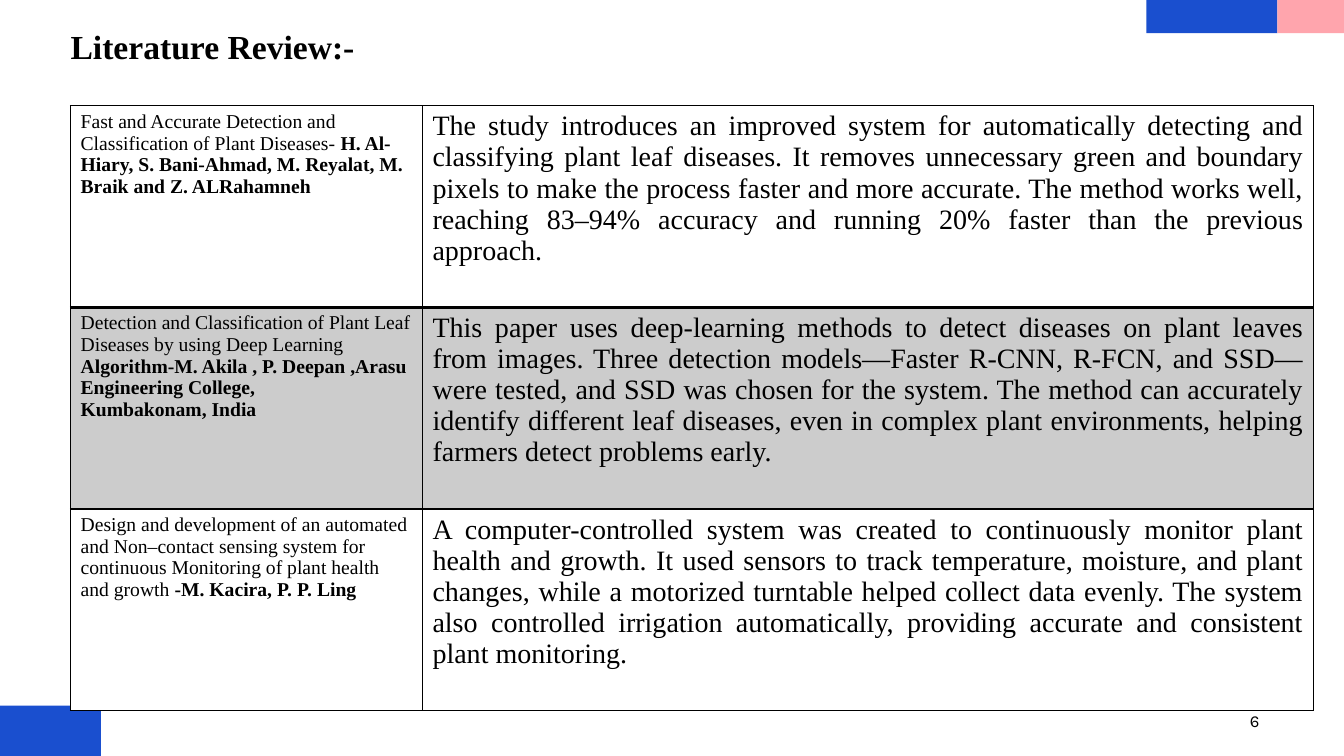
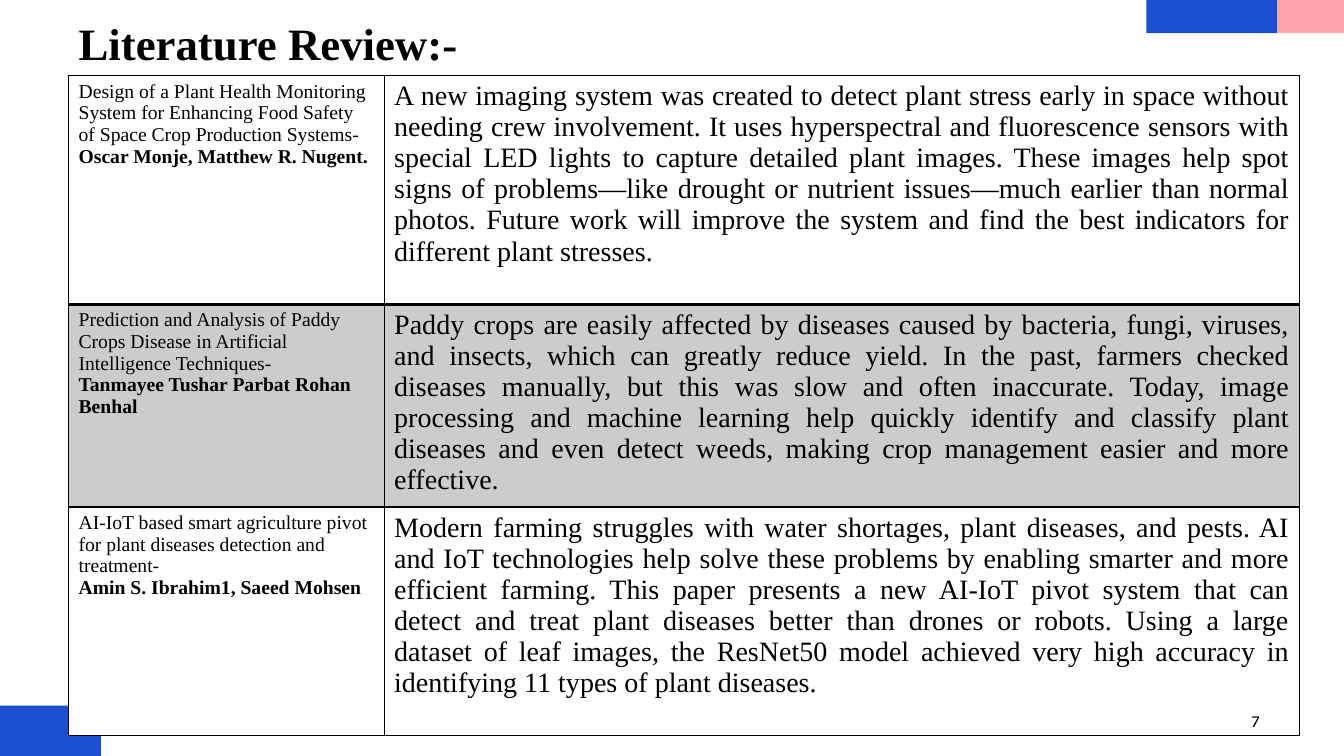
import math

import pptx
import pptx.dml.color
import pptx.enum.text
import pptx.oxml
import pptx.util
from pptx.enum.shapes import MSO_SHAPE
from pptx.enum.text import MSO_ANCHOR, MSO_AUTO_SIZE, PP_ALIGN
from pptx.util import Inches

# Shared look
RGBColor = pptx.dml.color.RGBColor
BLUE = RGBColor(0x1A, 0x4F, 0xCF)
PINK = RGBColor(0xFF, 0xA5, 0xAD)
BLACK = RGBColor(0, 0, 0)
WHITE = RGBColor(0xFF, 0xFF, 0xFF)
GREY = RGBColor(0xCC, 0xCC, 0xCC)
SERIF = "Times New Roman"
SANS = "Karla"
TITLE = "Literature Review:-"
SLIDE_W, SLIDE_H = 13.33, 7.5

# Each row: paragraphs of (text, bold) runs for the paper, then its summary
FIRST_PAPERS = [
    ([[("Fast and Accurate Detection and Classification of Plant Diseases- ", False),
       ("H. Al-Hiary, S. Bani-Ahmad, M. Reyalat, M. Braik and Z. ALRahamneh", True)]],
     "The study introduces an improved system for automatically detecting and "
     "classifying plant leaf diseases. It removes unnecessary green and boundary "
     "pixels to make the process faster and more accurate. The method works well, "
     "reaching 83–94% accuracy and running 20% faster than the previous approach."),
    ([[("Detection and Classification of Plant Leaf Diseases by using Deep Learning ", False),
       ("Algorithm-M. Akila , P. Deepan ,Arasu Engineering College,", True)],
      [("Kumbakonam, India", True)]],
     "This paper uses deep-learning methods to detect diseases on plant leaves "
     "from images. Three detection models—Faster R-CNN, R-FCN, and SSD—were tested, "
     "and SSD was chosen for the system. The method can accurately identify "
     "different leaf diseases, even in complex plant environments, helping farmers "
     "detect problems early."),
    ([[("Design and development of an automated and Non–contact sensing system for "
        "continuous Monitoring of plant health and growth ", False),
       ("-M. Kacira, P. P. Ling", True)]],
     "A computer-controlled system was created to continuously monitor plant health "
     "and growth. It used sensors to track temperature, moisture, and plant changes, "
     "while a motorized turntable helped collect data evenly. The system also "
     "controlled irrigation automatically, providing accurate and consistent plant "
     "monitoring."),
]
SECOND_PAPERS = [
    ([[("Design of a Plant Health Monitoring System for Enhancing Food Safety of "
        "Space Crop Production Systems- ", False),
       ("Oscar Monje, Matthew R. Nugent.", True)]],
     "A new imaging system was created to detect plant stress early in space without "
     "needing crew involvement. It uses hyperspectral and fluorescence sensors with "
     "special LED lights to capture detailed plant images. These images help spot "
     "signs of problems—like drought or nutrient issues—much earlier than normal "
     "photos. Future work will improve the system and find the best indicators for "
     "different plant stresses."),
    ([[("Prediction and Analysis of Paddy Crops Disease in Artificial Intelligence "
        "Techniques-", False)],
      [("Tanmayee Tushar Parbat Rohan Benhal", True)]],
     "Paddy crops are easily affected by diseases caused by bacteria, fungi, viruses, "
     "and insects, which can greatly reduce yield. In the past, farmers checked "
     "diseases manually, but this was slow and often inaccurate. Today, image "
     "processing and machine learning help quickly identify and classify plant "
     "diseases and even detect weeds, making crop management easier and more "
     "effective."),
    ([[("AI-IoT based smart agriculture pivot for plant diseases detection and "
        "treatment-", False)],
      [("Amin S. Ibrahim1, Saeed Mohsen", True)]],
     "Modern farming struggles with water shortages, plant diseases, and pests. AI "
     "and IoT technologies help solve these problems by enabling smarter and more "
     "efficient farming. This paper presents a new AI-IoT pivot system that can "
     "detect and treat plant diseases better than drones or robots. Using a large "
     "dataset of leaf images, the ResNet50 model achieved very high accuracy in "
     "identifying 11 types of plant diseases."),
]


def paint(sp, color):
    """Flat fill without outline or shadow."""
    sp.shadow.inherit = False
    sp.fill.solid()
    sp.fill.fore_color.rgb = color
    sp.line.fill.background()


def add_run(p, text, size, font=SERIF, bold=False):
    r = p.add_run()
    r.text = text
    r.font.name = font
    r.font.size = pptx.util.Pt(size)
    r.font.bold = bold
    r.font.color.rgb = BLACK


def add_corners(s):
    """Two bars at the top right and a quarter disc at the bottom left."""
    for left, width, color in ((11.37, 1.3, BLUE), (12.67, 0.66, PINK)):
        bar = s.shapes.add_shape(MSO_SHAPE.RECTANGLE, Inches(left), 0,
                                 Inches(width), Inches(0.33))
        paint(bar, color)
    radius, steps = 0.6, 30
    angles = [math.pi / 2 * i / steps for i in range(steps + 1)]
    arc = [(radius * math.sin(a), SLIDE_H - radius * math.cos(a)) for a in angles]
    outline = s.shapes.build_freeform(0, SLIDE_H, scale=Inches(1))
    outline.add_line_segments(arc, close=True)
    paint(outline.convert_to_shape(), BLUE)


def set_title(s, box, size, inset_x):
    title = s.shapes.title
    title.left, title.top, title.width, title.height = map(Inches, box)
    tf = title.text_frame
    tf.auto_size = MSO_AUTO_SIZE.NONE
    tf.vertical_anchor = MSO_ANCHOR.MIDDLE
    tf.margin_left = tf.margin_right = Inches(inset_x)
    tf.margin_top = tf.margin_bottom = 0
    p = tf.paragraphs[0]
    p.alignment = PP_ALIGN.LEFT
    add_run(p, TITLE, size, bold=True)


def set_borders(cell, **widths):
    """Black cell borders; widths in points for sides L, R, T and B."""
    tcPr = cell._tc.get_or_add_tcPr()
    for side in "LRTB":
        tcPr.append(pptx.oxml.parse_xml(
            '<a:ln%s xmlns:a="http://schemas.openxmlformats.org/drawingml/2006/main" w="%d">'
            '<a:solidFill><a:srgbClr val="%s"/></a:solidFill></a:ln%s>'
            % (side, pptx.util.Pt(widths.get(side, 1)), BLACK, side)))


def fill_cell(cell, paragraphs, size, align):
    tf = cell.text_frame
    for i, runs in enumerate(paragraphs):
        p = tf.add_paragraph() if i else tf.paragraphs[0]
        p.alignment = align
        for text, bold in runs:
            add_run(p, text, size, bold=bold)


def add_papers(s, left, top, col_widths, row_heights, papers):
    frame = s.shapes.add_table(len(papers), len(col_widths), Inches(left), Inches(top),
                               Inches(sum(col_widths)), Inches(sum(row_heights)))
    table = frame.table
    table.first_row = table.horz_banding = False
    for column, width in zip(table.columns, col_widths):
        column.width = Inches(width)
    for i, (paper, summary) in enumerate(papers):
        table.rows[i].height = Inches(row_heights[i])
        fill_cell(table.cell(i, 0), paper, 14, PP_ALIGN.LEFT)
        fill_cell(table.cell(i, 1), [[(summary, False)]], 20, PP_ALIGN.JUSTIFY)
        for cell in table.rows[i].cells:
            # Heavier rule below the first row
            set_borders(cell, T=2 if i == 1 else 1, B=2 if i == 0 else 1)
            cell.fill.solid()
            cell.fill.fore_color.rgb = GREY if i % 2 else WHITE


def add_number(s, number):
    box = s.shapes.add_textbox(Inches(8.59), Inches(7), Inches(4), Inches(0.29))
    tf = box.text_frame
    tf.word_wrap = True
    p = tf.paragraphs[0]
    p.alignment = PP_ALIGN.RIGHT
    add_run(p, str(number), 12, font=SANS)


def add_review(prs, number, title, table):
    s = prs.slides.add_slide(prs.slide_layouts[5])
    add_corners(s)
    set_title(s, *title)
    add_papers(s, *table)
    add_number(s, number)


def main():
    prs = pptx.Presentation()
    prs.slide_width, prs.slide_height = Inches(SLIDE_W), Inches(SLIDE_H)
    add_review(prs, 6, ((0.7, 0.15, 11.72, 0.61), 24, 0),
               (0.7, 1.05, (3.49, 8.84), (2, 2, 2), FIRST_PAPERS))
    add_review(prs, 7, ((0.68, 0.1, 4.48, 0.64), 32, 0.1),
               (0.68, 0.75, (3.13, 9.08), (2.27, 2.01, 2.27), SECOND_PAPERS))
    prs.save("out.pptx")


if __name__ == "__main__":
    main()
